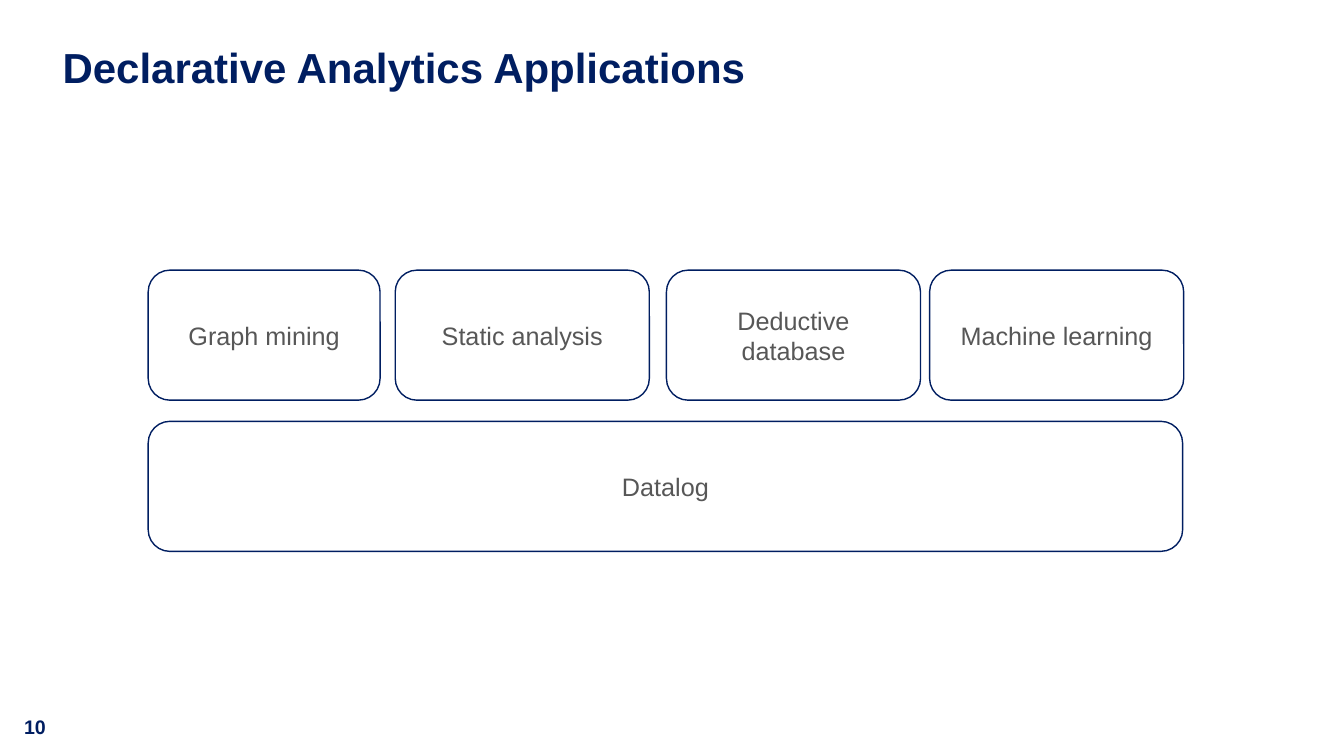
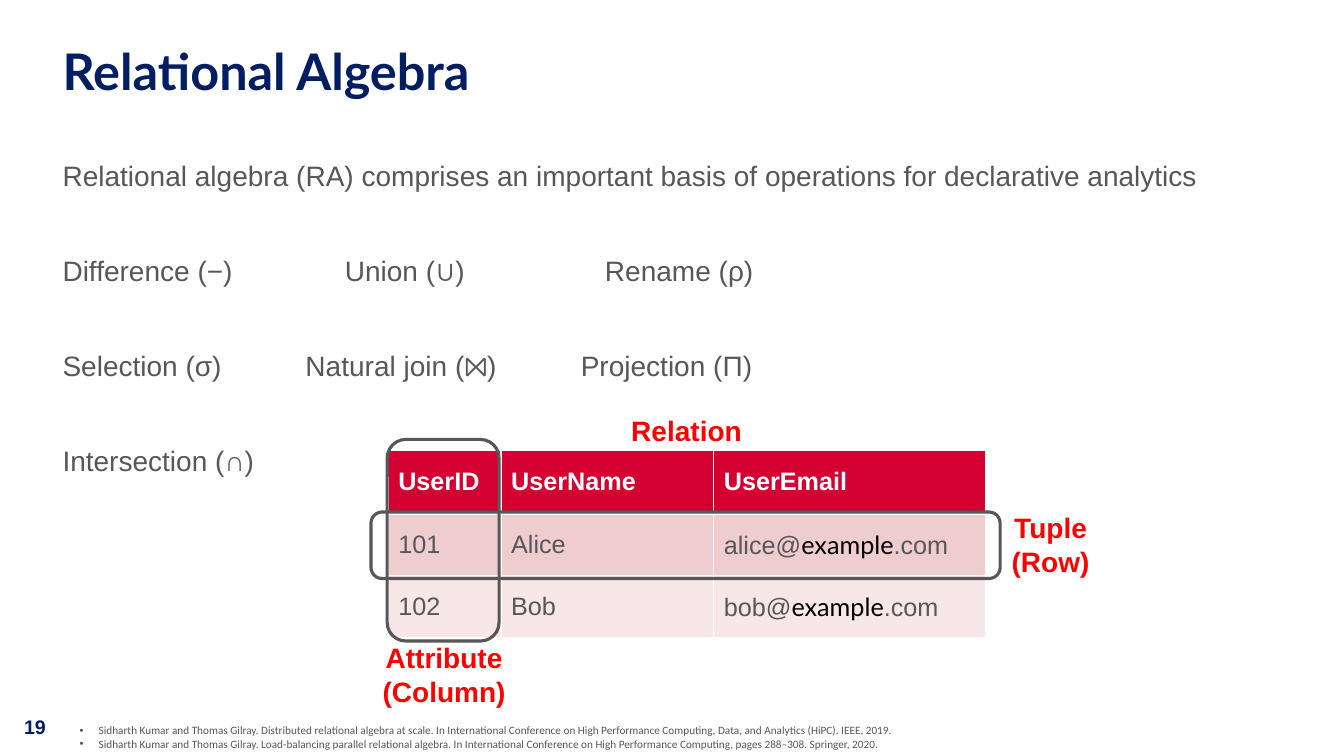
from dataclasses import dataclass

from lxml.etree import SubElement
from pptx import Presentation
from pptx.dml.color import RGBColor
from pptx.enum.shapes import MSO_SHAPE
from pptx.enum.text import MSO_ANCHOR, PP_ALIGN
from pptx.oxml.ns import qn
from pptx.util import Pt

EMU_PER_PX = 9144  # 100 px to the inch


def px(length):
    return length * EMU_PER_PX


@dataclass(frozen=True)
class Theme:
    navy: str = "001E61"
    grey: str = "575757"
    white: str = "FFFFFF"
    black: str = "000000"
    label_red: str = "FF0000"
    header_red: str = "D40032"
    row_tints: tuple = ("EFCCCE", "F7E7E8")
    font: str = "Arial"
    accent_font: str = "Lato"
    reference_font: str = "Calibri"
    body_size: int = 20
    box_size: int = 18
    number_size: int = 14
    reference_size: int = 8


class Deck:
    """Holds the theme and the slide being drawn."""

    def __init__(self, theme):
        self.theme = theme
        self.presentation = Presentation()
        self.presentation.slide_width = px(1333)
        self.presentation.slide_height = px(750)
        self.slide = None

    def style(self, font, size, color, bold=False, name=None):
        font.name = name or self.theme.font
        font.size = Pt(size)
        font.bold = bold
        font.color.rgb = RGBColor.from_string(color)

    def add_slide(self, title, number, title_size, title_font=None):
        blank = self.presentation.slide_layouts[6]
        self.slide = self.presentation.slides.add_slide(blank)
        navy = self.theme.navy
        heading, = self.text((62, 47, 1208, 89), [title], inset=False)
        heading.line_spacing = 0.9
        self.style(heading.font, title_size, navy, True, title_font)
        page, = self.text((14, 704, 66, 34), [str(number)])
        self.style(page.font, self.theme.number_size, navy, True)

    def text(self, box, lines, inset=True):
        """Add a text box and return its paragraphs, one for each line."""
        frame = self.slide.shapes.add_textbox(*map(px, box)).text_frame
        frame.word_wrap = True
        if not inset:
            frame.margin_left = frame.margin_right = 0
            frame.margin_top = frame.margin_bottom = 0
        frame.text = "\n".join(lines)
        return frame.paragraphs

    def label(self, box, *lines):
        for paragraph in self.text(box, lines):
            paragraph.alignment = PP_ALIGN.CENTER
            self.style(paragraph.font, self.theme.body_size, self.theme.label_red, True)

    def body(self, box, rows):
        """Rows are (tab stops, columns) pairs, spaced evenly."""
        lines = ["\t".join(columns) for _, columns in rows]
        paragraphs = self.text(box, lines, inset=False)
        for index, (paragraph, (stops, _)) in enumerate(zip(paragraphs, rows)):
            if stops:
                properties = paragraph._p.get_or_add_pPr()
                tabs = SubElement(properties, qn("a:tabLst"))
                for stop in stops:
                    SubElement(tabs, qn("a:tab"), pos=str(px(stop)), algn="l")
            paragraph.line_spacing = Pt(24)
            paragraph.space_before = Pt(44 if index else 0)
            self.style(paragraph.font, self.theme.body_size, self.theme.grey)

    def references(self, box, lines):
        for paragraph in self.text(box, lines):
            properties = paragraph._p.get_or_add_pPr()
            properties.set("marL", str(px(19)))
            properties.set("indent", str(-px(19)))
            SubElement(properties, qn("a:buFont"), typeface="Arial")
            SubElement(properties, qn("a:buChar"), char="•")
            self.style(paragraph.font, self.theme.reference_size, self.theme.grey,
                       name=self.theme.reference_font)

    def rounded(self, box, color, width):
        """Add an unfilled rounded outline."""
        shape = self.slide.shapes.add_shape(MSO_SHAPE.ROUNDED_RECTANGLE, *map(px, box))
        shape.shadow.inherit = False
        shape.fill.background()
        shape.line.color.rgb = RGBColor.from_string(color)
        shape.line.width = Pt(width)
        return shape

    def block(self, box, text):
        shape = self.rounded(box, self.theme.navy, 1)
        shape.fill.solid()
        shape.fill.fore_color.rgb = RGBColor.from_string(self.theme.white)
        frame = shape.text_frame
        frame.word_wrap = True
        frame.vertical_anchor = MSO_ANCHOR.MIDDLE
        frame.text = text
        paragraph = frame.paragraphs[0]
        paragraph.alignment = PP_ALIGN.CENTER
        self.style(paragraph.font, self.theme.box_size, self.theme.grey)

    def table(self, left, top, widths, row_height, rows):
        """Each cell is a tuple of pieces; every second piece is accented."""
        frame = self.slide.shapes.add_table(
            len(rows), len(widths), px(left), px(top),
            px(sum(widths)), px(row_height * len(rows)))
        table = frame.table
        for column, width in zip(table.columns, widths):
            column.width = px(width)
        fills = (self.theme.header_red, *self.theme.row_tints)
        for row_index, (row, fill) in enumerate(zip(rows, fills)):
            table.rows[row_index].height = px(row_height)
            for column_index, pieces in enumerate(row):
                cell = table.cell(row_index, column_index)
                self.cell(cell, pieces, fill, row_index)

    def cell(self, cell, pieces, fill, row_index):
        header = row_index == 0
        self.borders(cell, top=3 if row_index == 1 else 1, bottom=3 if header else 1)
        cell.fill.solid()
        cell.fill.fore_color.rgb = RGBColor.from_string(fill)
        cell.vertical_anchor = MSO_ANCHOR.MIDDLE
        paragraph = cell.text_frame.paragraphs[0]
        color = self.theme.white if header else self.theme.grey
        self.style(paragraph.font, self.theme.box_size, color, header)
        for index, piece in enumerate(pieces):
            run = paragraph.add_run()
            run.text = piece
            if index % 2:
                self.style(run.font, self.theme.box_size, self.theme.black,
                           name=self.theme.accent_font)

    def borders(self, cell, top, bottom):
        properties = cell._tc.get_or_add_tcPr()
        for side, width in (("L", 1), ("R", 1), ("T", top), ("B", bottom)):
            line = SubElement(properties, qn(f"a:ln{side}"), w=str(Pt(width)))
            fill = SubElement(line, qn("a:solidFill"))
            SubElement(fill, qn("a:srgbClr"), val=self.theme.white)


def applications_slide(deck):
    deck.add_slide("Declarative Analytics Applications", 10, 30)
    applications = [
        ("Graph mining", 147, 230),
        ("Static analysis", 392, 252),
        ("Deductive database", 661, 252),
        ("Machine learning", 922, 252),
    ]
    for name, left, width in applications:
        deck.block((left, 268, width, 129), name)
    deck.block((147, 418, 1026, 129), "Datalog")


def algebra_slide(deck):
    deck.add_slide("Relational Algebra", 19, 36, deck.theme.accent_font)
    deck.body((62, 157, 1208, 491), [
        ((), ("Relational algebra (RA) comprises an important basis of operations "
              "for declarative analytics",)),
        ((280, 538), ("Difference (−)", "Union (∪)", "Rename (ρ)")),
        ((241, 514), ("Selection (σ)", "Natural join (⨝)", "Projection (Π)")),
        ((), ("Intersection (∩)",)),
    ])
    deck.references((69, 713, 1185, 37), [
        "Sidharth Kumar and Thomas Gilray. Distributed relational algebra at scale. "
        "In International Conference on High Performance Computing, Data, and "
        "Analytics (HiPC). IEEE, 2019.",
        "Sidharth Kumar and Thomas Gilray. Load-balancing parallel relational algebra. "
        "In International Conference on High Performance Computing, pages 288–308. "
        "Springer, 2020.",
    ])
    deck.table(385, 447, (112, 211, 270), 62, [
        (("UserID",), ("UserName",), ("UserEmail",)),
        (("101",), ("Alice",), ("alice@", "example", ".com")),
        (("102",), ("Bob",), ("bob@", "example", ".com")),
    ])
    for outline in ((384, 436, 111, 200), (368, 508, 624, 66)):
        deck.rounded(outline, deck.theme.grey, 2.25)
    deck.label((386, 405, 590, 44), "Relation")
    deck.label((323, 631, 235, 77), "Attribute", "(Column)")
    deck.label((991, 502, 102, 77), "Tuple", "(Row)")


def main():
    deck = Deck(Theme())
    applications_slide(deck)
    algebra_slide(deck)
    deck.presentation.save("out.pptx")


if __name__ == "__main__":
    main()
